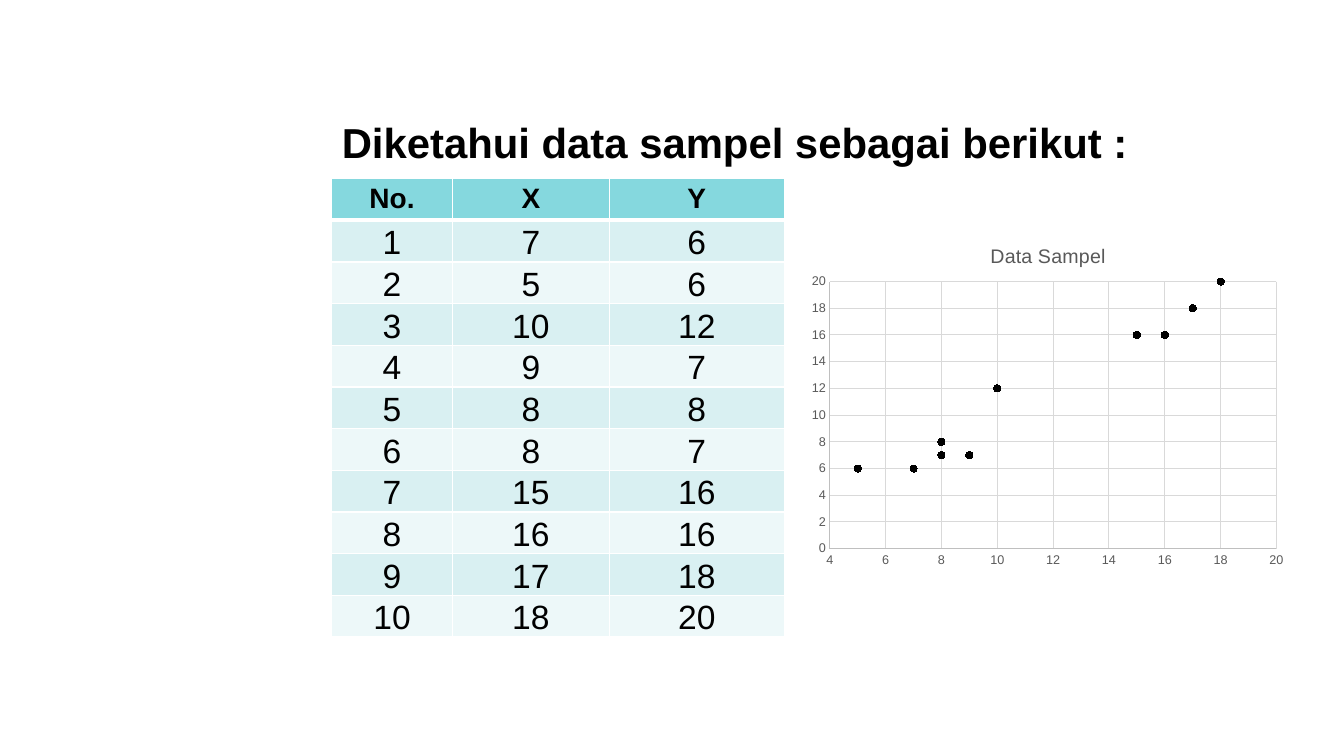
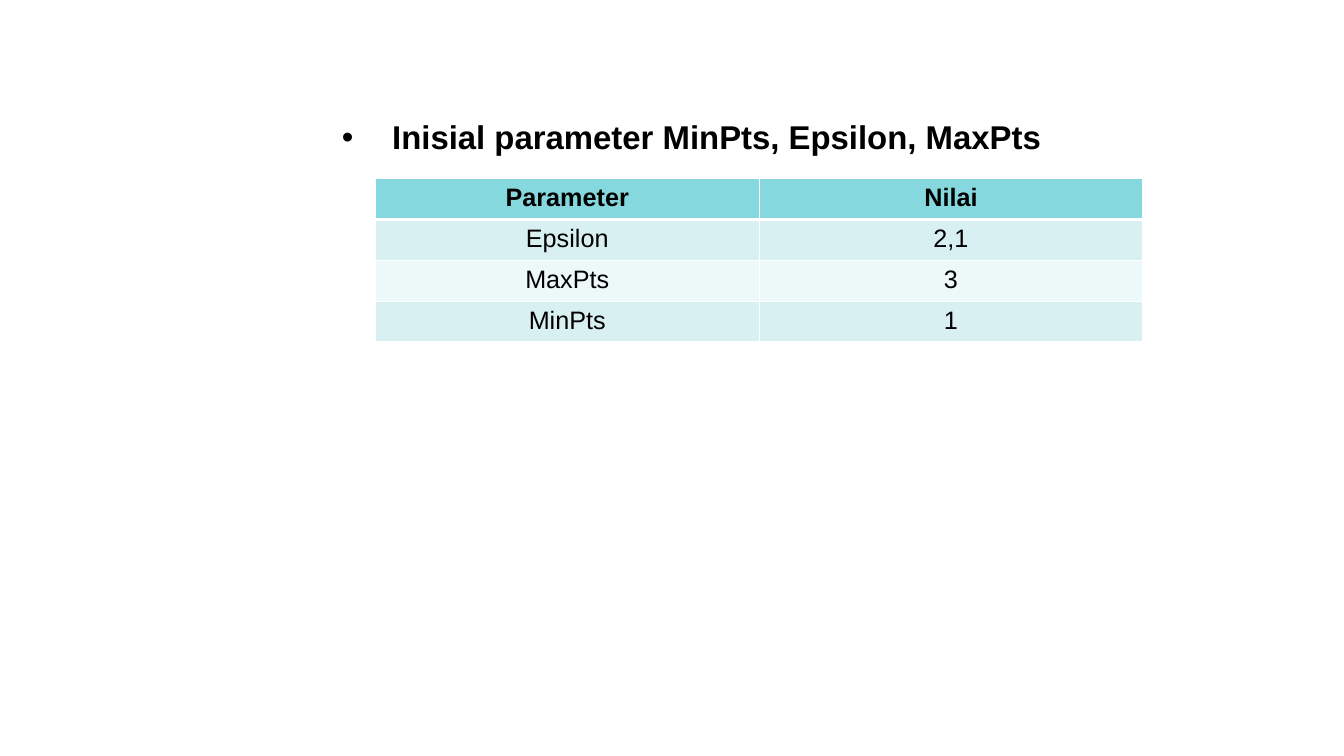
from dataclasses import dataclass

from lxml.etree import SubElement
from pptx import Presentation
from pptx.chart.axis import _BaseAxis as Axis
from pptx.chart.data import XyChartData
from pptx.dml.color import RGBColor
from pptx.enum.chart import XL_CHART_TYPE as ChartType, XL_MARKER_STYLE as Marker, XL_TICK_MARK as Tick
from pptx.enum.text import MSO_ANCHOR as Anchor, MSO_AUTO_SIZE as AutoSize, PP_ALIGN as Align
from pptx.oxml import parse_xml
from pptx.oxml.ns import nsdecls, qn
from pptx.slide import Slide
from pptx.table import _Cell as Cell
from pptx.text.text import Font, TextFrame
from pptx.util import Cm, Pt


@dataclass(frozen=True)
class Theme:
    font: str = "Arial"
    ink: str = "000000"
    paper: str = "FFFFFF"
    header: str = "85D8DE"
    bands: tuple[str, str] = ("D9F0F2", "EDF8F9")
    chart_text: str = "595959"
    axis: str = "BFBFBF"
    grid: str = "D9D9D9"
    heading: float = 29.9
    bullet_heading: float = 23.5
    sample_header: float = 20
    sample_body: float = 24
    parameter: float = 18
    chart_title: float = 14
    axis_label: float = 9


@dataclass(frozen=True)
class TableSpec:
    left: float
    widths: tuple[float, ...]
    row_height: float
    header_size: float
    body_size: float
    rows: tuple[tuple[str, ...], ...]
    tight: bool = False


THEME = Theme()
TABLE_TOP = 4.5
SAMPLES = ((7, 6), (5, 6), (10, 12), (9, 7), (8, 8), (8, 7), (15, 16), (16, 16), (17, 18), (18, 20))

SAMPLE_TABLE = TableSpec(
    8.36, (3.04, 3.96, 4.4), 1.05, THEME.sample_header, THEME.sample_body,
    (("No.", "X", "Y"), *((str(n), str(x), str(y)) for n, (x, y) in enumerate(SAMPLES, 1))),
    tight=True,
)
PARAMETER_TABLE = TableSpec(
    9.46, (9.67, 9.67), 1.03, THEME.parameter, THEME.parameter,
    (("Parameter", "Nilai"), ("Epsilon", "2,1"), ("MaxPts", "3"), ("MinPts", "1")),
)


def style_font(font: Font, size: float, color: str = THEME.ink, bold: bool = False) -> None:
    font.name = THEME.font
    font.size = Pt(size)
    font.bold = bold
    font.color.rgb = RGBColor.from_string(color)


def write(frame: TextFrame, text: str, *, size: float, color: str = THEME.ink, bold: bool = False,
          align: Align = Align.LEFT, bullet: str = "") -> None:
    frame.text = text
    paragraph = frame.paragraphs[0]
    paragraph.alignment = align
    if bullet:
        properties = paragraph._p.get_or_add_pPr()
        properties.set("marL", str(Cm(1.27)))
        properties.set("indent", str(-Cm(1.27)))
        SubElement(properties, qn("a:buFont"), typeface=THEME.font)
        SubElement(properties, qn("a:buChar"), char=bullet)
    style_font(paragraph.runs[0].font, size, color, bold)


def add_titled_slide(deck: Presentation, heading: str, size: float, bullet: str = "") -> Slide:
    slide = deck.slides.add_slide(deck.slide_layouts[5])
    title = slide.shapes.title
    title.left, title.top, title.width, title.height = Cm(8.36), Cm(2.74), Cm(20.43), Cm(1.76)
    frame = title.text_frame
    frame.word_wrap = True
    frame.auto_size = AutoSize.NONE
    frame.vertical_anchor = Anchor.TOP
    frame.margin_top = Cm(0.21)
    write(frame, heading, size=size, bold=True, bullet=bullet)
    return slide


def set_borders(cell: Cell, top: float, bottom: float) -> None:
    properties = cell._tc.get_or_add_tcPr()
    for index, (side, width) in enumerate((("L", 1), ("R", 1), ("T", top), ("B", bottom))):
        properties.insert(index, parse_xml(
            f'<a:ln{side} {nsdecls("a")} w="{Pt(width)}"><a:solidFill>'
            f'<a:srgbClr val="{THEME.paper}"/></a:solidFill></a:ln{side}>'))


def add_data_table(slide: Slide, spec: TableSpec) -> None:
    count = len(spec.rows)
    table = slide.shapes.add_table(
        count, len(spec.widths), Cm(spec.left), Cm(TABLE_TOP),
        Cm(sum(spec.widths)), Cm(spec.row_height * count)).table
    table.horz_banding = False
    for column, width in zip(table.columns, spec.widths):
        column.width = Cm(width)
    for number, (row, values) in enumerate(zip(table.rows, spec.rows)):
        row.height = Cm(spec.row_height)
        is_header = number == 0
        for cell, value in zip(row.cells, values):
            write(cell.text_frame, value, size=spec.header_size if is_header else spec.body_size,
                  bold=is_header, align=Align.CENTER)
            if spec.tight and not is_header:
                cell.vertical_anchor = Anchor.BOTTOM
                cell.margin_left = cell.margin_right = cell.margin_top = Cm(0.03)
                cell.margin_bottom = 0
            cell.fill.solid()
            cell.fill.fore_color.rgb = RGBColor.from_string(
                THEME.header if is_header else THEME.bands[(number - 1) % 2])
            set_borders(cell, top=3 if number == 1 else 1, bottom=3 if is_header else 1)


def place(element, index: int, target: str = "", **fractions: float) -> None:
    old = element.find(qn("c:layout"))
    if old is not None:
        element.remove(old)
    layout = parse_xml(f'<c:layout {nsdecls("c")}><c:manualLayout/></c:layout>')
    if target:
        SubElement(layout[0], qn("c:layoutTarget"), val=target)
    for side in ("x", "y"):
        SubElement(layout[0], qn(f"c:{side}Mode"), val="edge")
    for side, fraction in fractions.items():
        SubElement(layout[0], qn(f"c:{side}"), val=str(fraction))
    element.insert(index, layout)


def style_axis(axis: Axis, minimum: float) -> None:
    axis.minimum_scale, axis.maximum_scale, axis.major_unit = minimum, 20, 2
    axis.major_tick_mark = axis.minor_tick_mark = Tick.NONE
    axis.has_major_gridlines = True
    for line, color in ((axis.format.line, THEME.axis), (axis.major_gridlines.format.line, THEME.grid)):
        line.width = Pt(0.75)
        line.color.rgb = RGBColor.from_string(color)
    style_font(axis.tick_labels.font, THEME.axis_label, THEME.chart_text)


def add_sample_chart(slide: Slide) -> None:
    data = XyChartData()
    points = data.add_series("Series 1")
    for x, y in SAMPLES:
        points.add_data_point(x, y)
    chart = slide.shapes.add_chart(
        ChartType.XY_SCATTER, Cm(20.17), Cm(5.59), Cm(12.37), Cm(8.86), data).chart
    style_font(chart.font, 10)
    chart.has_legend = False
    chart.has_title = True
    write(chart.chart_title.text_frame, "Data Sampel", size=THEME.chart_title,
          color=THEME.chart_text, align=Align.CENTER)
    chart.chart_title.include_in_layout = False
    place(chart.chart_title._element, 1, x=0.38, y=0.05)
    place(chart._chartSpace.chart.plotArea, 0, "inner", x=0.06, y=0.17, w=0.91, h=0.76)
    style_axis(chart.category_axis, 4)
    style_axis(chart.value_axis, 0)
    chart.plots[0].vary_by_categories = False
    series = chart.plots[0].series[0]
    series.smooth = False
    series.format.line.fill.background()
    series.marker.style = Marker.CIRCLE
    series.marker.size = 5
    ink = RGBColor.from_string(THEME.ink)
    series.marker.format.fill.solid()
    series.marker.format.fill.fore_color.rgb = ink
    series.marker.format.line.color.rgb = ink


def main() -> None:
    deck = Presentation()
    deck.slide_width, deck.slide_height = Cm(33.87), Cm(19.05)
    samples = add_titled_slide(deck, "Diketahui data sampel sebagai berikut :", THEME.heading)
    add_data_table(samples, SAMPLE_TABLE)
    add_sample_chart(samples)
    parameters = add_titled_slide(
        deck, "Inisial parameter MinPts, Epsilon, MaxPts", THEME.bullet_heading, bullet="•")
    add_data_table(parameters, PARAMETER_TABLE)
    deck.save("out.pptx")


if __name__ == "__main__":
    main()
